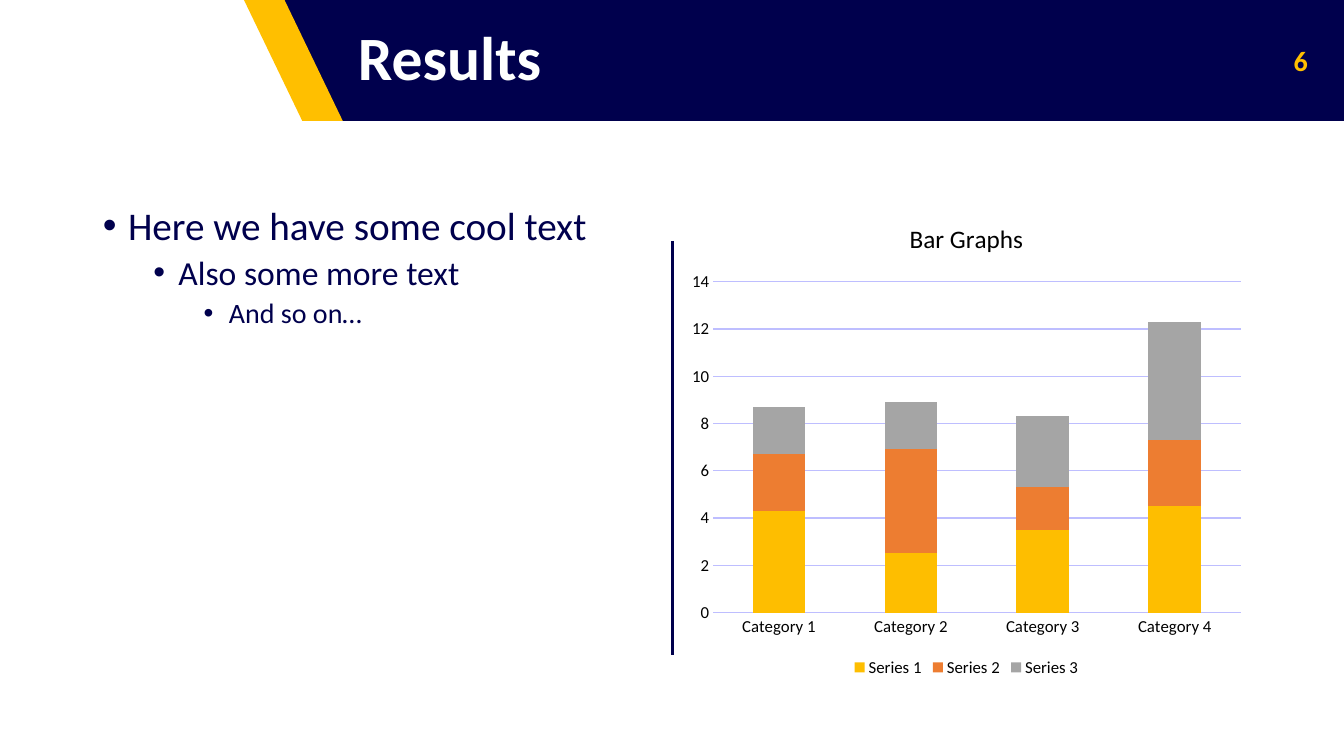
import pptx
import pptx.chart.data
import pptx.dml.color
import pptx.enum.chart
import pptx.enum.shapes
import pptx.enum.text
import pptx.oxml.ns
import pptx.util
from lxml import etree

PX = 9144  # one px is a hundredth of an inch
NAVY, GOLD, WHITE, BLACK = "00004D", "FFBF00", "FEFFFF", "000000"
GRID = "BEBEFF"
FONT = "Calibri"


def px(*lengths):
    return [pptx.util.Emu(length * PX) for length in lengths]


def color(hex_string):
    return pptx.dml.color.RGBColor.from_string(hex_string)


def set_values(target, values):
    for name, value in values.items():
        setattr(target, name, value)


def format_font(font, size, hex_string, bold=False):
    set_values(font, {"name": FONT, "size": pptx.util.Pt(size), "bold": bold})
    font.color.rgb = color(hex_string)


def place(shape, box):
    set_values(shape, dict(zip(("left", "top", "width", "height"), px(*box))))


def bring_to_front(slide, shape):
    slide.shapes._spTree.append(shape._element)


def add_band(slide, box, slant, fill):
    shape = slide.shapes.add_shape(
        pptx.enum.shapes.MSO_SHAPE.PARALLELOGRAM, *px(*box))
    shape.adjustments[0] = slant
    shape.fill.solid()
    shape.fill.fore_color.rgb = color(fill)
    shape.line.fill.background()
    shape.shadow.inherit = False
    shape._element.spPr.xfrm.set("flipH", "1")


def add_divider(slide, start, end):
    line = slide.shapes.add_connector(
        pptx.enum.shapes.MSO_CONNECTOR.STRAIGHT, *px(*start, *end))
    line.line.color.rgb = color(NAVY)
    line.line.width = pptx.util.Pt(2.25)
    etree.SubElement(line._element.spPr, pptx.oxml.ns.qn("a:effectLst"))


def write_line(text_frame, text, alignment, size, hex_string):
    text_frame.vertical_anchor = pptx.enum.text.MSO_ANCHOR.MIDDLE
    text_frame.word_wrap = True
    paragraph = text_frame.paragraphs[0]
    paragraph.alignment = alignment
    run = paragraph.add_run()
    run.text = text
    format_font(run.font, size, hex_string, bold=True)
    return paragraph


def fill_title(slide, text, box):
    title = slide.shapes.title
    place(title, box)
    paragraph = write_line(title.text_frame, text,
                           pptx.enum.text.PP_ALIGN.LEFT, 44, WHITE)
    paragraph.line_spacing = 0.9
    bring_to_front(slide, title)


def fill_bullets(slide, texts, box):
    body = slide.placeholders[1]
    place(body, box)
    body.text_frame.text = "\n".join(texts)
    for level, paragraph in enumerate(body.text_frame.paragraphs):
        set_values(paragraph, {
            "level": level,
            "line_spacing": 0.9,
            "space_before": pptx.util.Pt(5 if level else 10),
        })
        format_font(paragraph.runs[0].font, 28 - 4 * level, NAVY)
        # Hanging indent and bullet sign
        properties = paragraph._p.get_or_add_pPr()
        margin, hang = px(25 + 50 * level, 25)
        properties.set("marL", str(margin))
        properties.set("indent", str(-hang))
        bullet = etree.SubElement(properties, pptx.oxml.ns.qn("a:buChar"))
        bullet.set("char", "•")
    bring_to_front(slide, body)


def format_axis(axis):
    axis.major_tick_mark = pptx.enum.chart.XL_TICK_MARK.NONE
    axis.minor_tick_mark = pptx.enum.chart.XL_TICK_MARK.NONE
    format_font(axis.tick_labels.font, 12, BLACK)


def format_rule(line):
    line.color.rgb = color(GRID)
    line.width = pptx.util.Pt(0.75)


def add_stacked_chart(slide, title, categories, series_list, box):
    data = pptx.chart.data.CategoryChartData()
    data.categories = categories
    for name, values, _ in series_list:
        data.add_series(name, values)
    chart = slide.shapes.add_chart(
        pptx.enum.chart.XL_CHART_TYPE.COLUMN_STACKED, *px(*box), data).chart
    format_font(chart.font, 10, NAVY)

    # Title and legend
    chart.has_title = True
    chart.chart_title.include_in_layout = False
    run = chart.chart_title.text_frame.paragraphs[0].add_run()
    run.text = title
    format_font(run.font, 18, BLACK)
    chart.has_legend = True
    chart.legend.position = pptx.enum.chart.XL_LEGEND_POSITION.BOTTOM
    chart.legend.include_in_layout = False
    format_font(chart.legend.font, 12, BLACK)

    # Axes
    format_axis(chart.category_axis)
    format_rule(chart.category_axis.format.line)
    value_axis = chart.value_axis
    format_axis(value_axis)
    set_values(value_axis, {"minimum_scale": 0, "maximum_scale": 14,
                            "major_unit": 2, "has_major_gridlines": True})
    value_axis.format.line.fill.background()
    format_rule(value_axis.major_gridlines.format.line)

    # Columns
    plot = chart.plots[0]
    set_values(plot, {"gap_width": 150, "overlap": 100,
                      "vary_by_categories": False})
    for series, (_, _, fill) in zip(plot.series, series_list):
        series.format.fill.solid()
        series.format.fill.fore_color.rgb = color(fill)


def add_page_number(slide, text, box):
    text_box = slide.shapes.add_textbox(*px(*box))
    write_line(text_box.text_frame, text,
               pptx.enum.text.PP_ALIGN.CENTER, 20, GOLD)


def main():
    presentation = pptx.Presentation()
    presentation.slide_width, presentation.slide_height = px(1333, 750)
    slide = presentation.slides.add_slide(presentation.slide_layouts[1])

    # Header bands and divider
    add_band(slide, (271, 0, 98, 120), 0.51, NAVY)
    add_band(slide, (311, 0, 1022, 120), 0, NAVY)
    add_band(slide, (242, 0, 98, 120), 0.59, GOLD)
    add_divider(slide, (667, 239), (667, 650))

    # Content
    fill_title(slide, "Results", (345, 0, 902, 120))
    fill_bullets(slide, ["Here we have some cool text",
                         "Also some more text",
                         "And so on…"], (92, 200, 567, 476))
    add_stacked_chart(
        slide, "Bar Graphs",
        [f"Category {number}" for number in range(1, 5)],
        [("Series 1", (4.3, 2.5, 3.5, 4.5), "FEBE00"),
         ("Series 2", (2.4, 4.4, 1.8, 2.8), "ED7D31"),
         ("Series 3", (2, 2, 3, 5), "A5A5A5")],
        (675, 200, 567, 476))
    add_page_number(slide, "6", (1247, 0, 86, 120))
    presentation.save("out.pptx")


if __name__ == "__main__":
    main()
